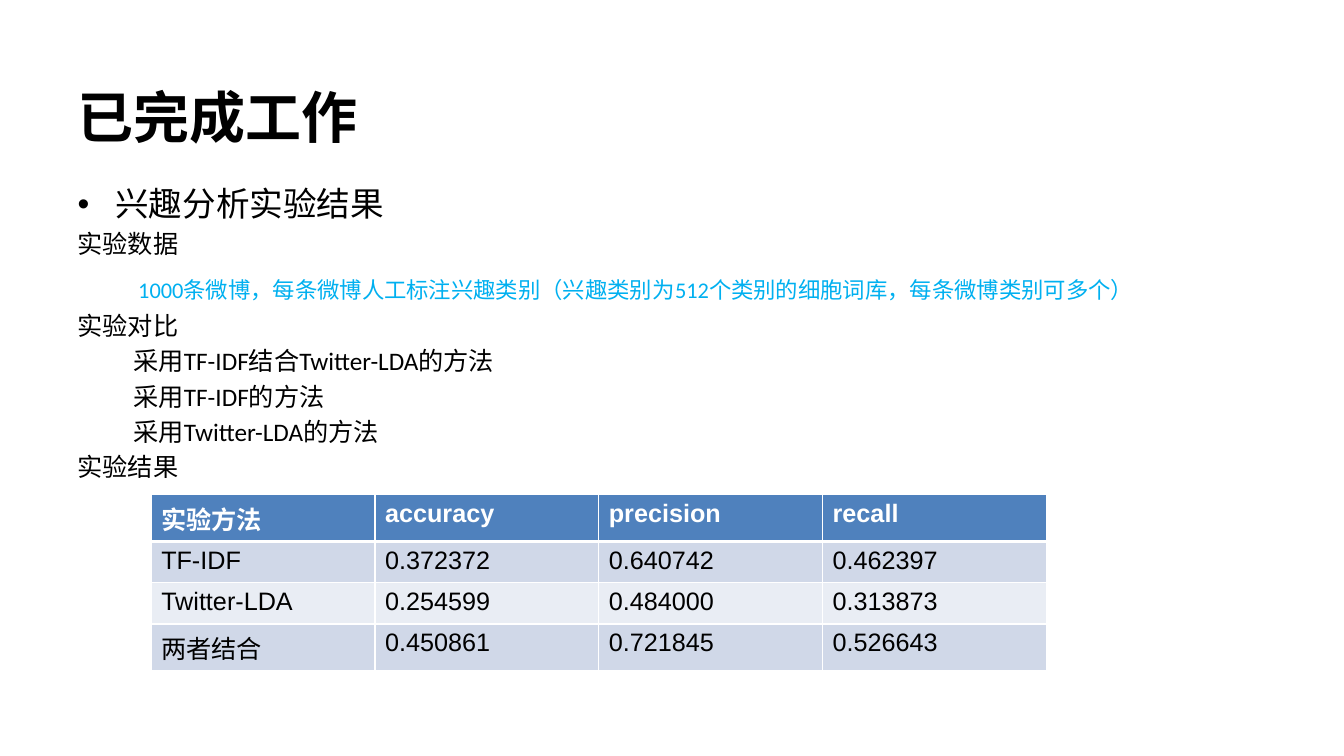
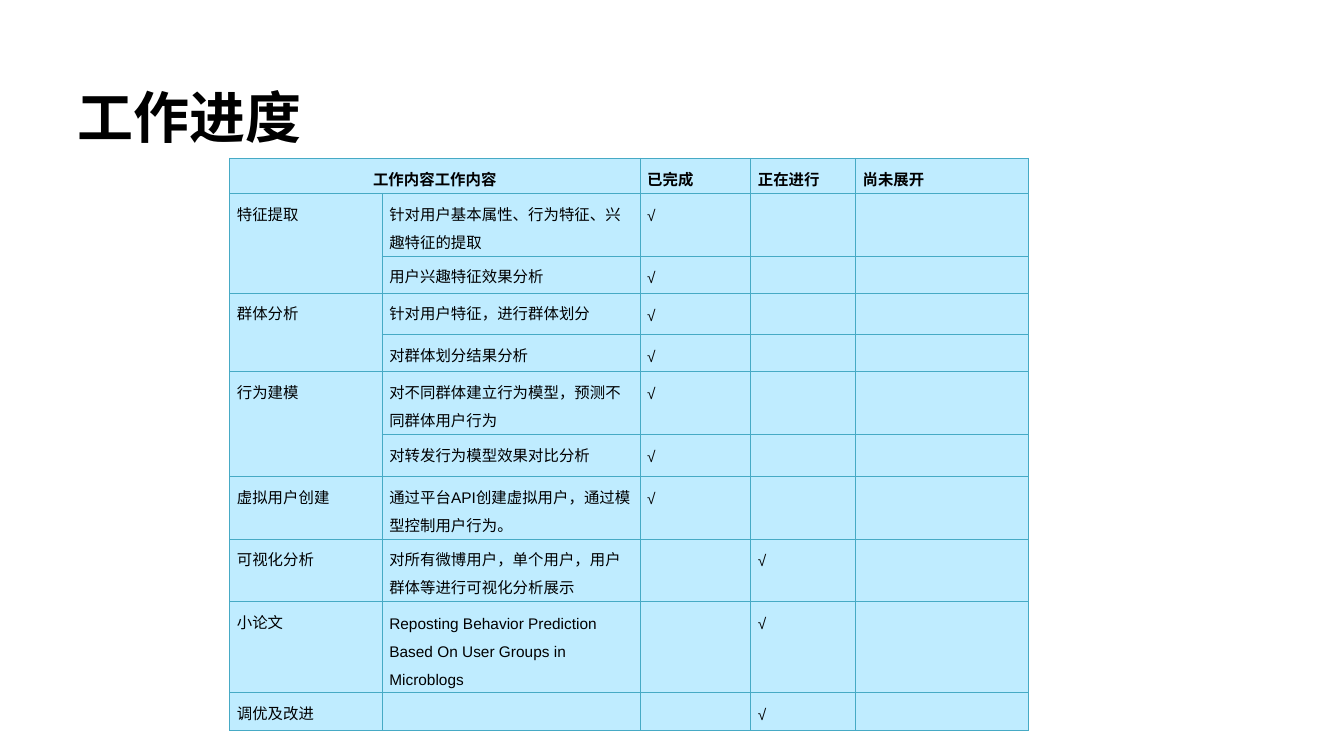
from lxml import etree
from pptx import Presentation
from pptx.dml.color import RGBColor
from pptx.enum.text import MSO_ANCHOR, MSO_AUTO_SIZE, PP_ALIGN
from pptx.oxml import parse_xml
from pptx.oxml.ns import qn
from pptx.util import Cm, Pt

LEFT, CENTER = PP_ALIGN.LEFT, PP_ALIGN.CENTER
MIDDLE = MSO_ANCHOR.MIDDLE
FIXED = MSO_AUTO_SIZE.NONE
NS = "http://schemas.openxmlformats.org/drawingml/2006/main"
CJK = "Noto Sans CJK SC"
COLORS = {
    "black": "000000",
    "white": "FFFFFF",
    "cyan": "00B0F0",
    "head": "4F81BD",
    "odd": "D0D8E8",
    "even": "E9EDF4",
    "pale": "BFECFF",
    "teal": "46AAC5",
}


def write(para, text, size, font="Arial", color="black", bold=False,
          align=LEFT, line=None, before=0, after=0, indent=None):
    """Fill a paragraph; an indent in cm also turns its bullet off."""
    if indent is not None:
        props = para._p.get_or_add_pPr()
        props.set("marL", str(Cm(indent)))
        props.set("indent", "0")
        etree.SubElement(props, qn("a:buNone"))
    para.alignment = align
    para.space_before, para.space_after = Pt(before), Pt(after)
    if line:
        para.line_spacing = Pt(line)
    if text:
        run = para.add_run()
        run.text = text
        run.font.size, run.font.bold = Pt(size), bold
        run.font.color.rgb = RGBColor.from_string(COLORS[color])
        run.font.name = font
        east = etree.SubElement(run._r.get_or_add_rPr(), qn("a:ea"))
        east.set("typeface", CJK)


def grid(slide, left, top, widths, heights, fills, edge, width, under):
    """Add a table with one fill per row; under is the line below row one."""
    frame = slide.shapes.add_table(
        len(heights), len(widths), Cm(left), Cm(top),
        Cm(sum(widths)), Cm(sum(heights)))
    table = frame.table
    for col, size in zip(table.columns, widths):
        col.width = Cm(size)
    for num, (row, size) in enumerate(zip(table.rows, heights)):
        row.height = Cm(size)
        for cell in row.cells:
            props = cell._tc.get_or_add_tcPr()
            for side in "LRTB":
                thick = (num, side) in ((0, "B"), (1, "T"))
                points = under if thick else width
                props.append(parse_xml(
                    f'<a:ln{side} xmlns:a="{NS}" w="{Pt(points)}"><a:solidFill>'
                    f'<a:srgbClr val="{COLORS[edge]}"/></a:solidFill></a:ln{side}>'))
            cell.fill.solid()
            cell.fill.fore_color.rgb = RGBColor.from_string(COLORS[fills[num]])
    return table


prs = Presentation()
prs.slide_width, prs.slide_height = Cm(33.87), Cm(19.05)

# Slides and titles
slides = []
for layout, text in ((1, "已完成工作"), (5, "工作进度")):
    slide = prs.slides.add_slide(prs.slide_layouts[layout])
    title = slide.shapes.title
    title.left, title.top, title.width, title.height = Cm(1.7), Cm(1.93), Cm(30.48), Cm(2)
    title.text_frame.auto_size = FIXED
    title.text_frame.vertical_anchor = MIDDLE
    write(title.text_frame.paragraphs[0], text, 40, font=CJK, bold=True)
    slides.append(slide)
done, plan = slides

# Finished work: list
body = done.placeholders[1]
body.left, body.top, body.width, body.height = Cm(1.7), Cm(4.45), Cm(30.48), Cm(13.49)
body.text_frame.auto_size = FIXED
LINES = [
    ("兴趣分析实验结果", {"size": 24, "line": 30}),
    ("实验数据", {"indent": 0}),
    ("1000条微博，每条微博人工标注兴趣类别（兴趣类别为512个类别的细胞词库，每条微博类别可多个）",
     {"size": 16, "color": "cyan", "indent": 1.53, "before": 6.4, "after": 1.6}),
    ("实验对比", {"indent": 0}),
    ("采用TF-IDF结合Twitter-LDA的方法", {"indent": 1.41}),
    ("采用TF-IDF的方法", {"indent": 1.41}),
    ("采用Twitter-LDA的方法", {"indent": 1.41}),
    ("实验结果", {"indent": 0}),
]
for num, (text, fmt) in enumerate(LINES):
    para = body.text_frame.add_paragraph() if num else body.text_frame.paragraphs[0]
    write(para, text, **{"size": 18, "font": "Calibri", "line": 25.2, **fmt})

# Finished work: results
SCORES = [
    ("实验方法", "accuracy", "precision", "recall"),
    ("TF-IDF", "0.372372", "0.640742", "0.462397"),
    ("Twitter-LDA", "0.254599", "0.484000", "0.313873"),
    ("两者结合", "0.450861", "0.721845", "0.526643"),
]
table = grid(done, 3.81, 12.47, [5.64] * 4, [1.16, 1.04, 1.04, 1.16],
             ["head", "odd", "even", "odd"], "white", 1, 3)
for row, texts in enumerate(SCORES):
    for col, text in enumerate(texts):
        write(table.cell(row, col).text_frame.paragraphs[0], text, 18,
              color="black" if row else "white", bold=row == 0)

# Progress: task, detail, column of the tick, row height
TASKS = [
    ("特征提取", "针对用户基本属性、行为特征、兴趣特征的提取", 2, 1.58),
    ("", "用户兴趣特征效果分析", 2, 0.88),
    ("群体分析", "针对用户特征，进行群体划分", 2, 1.05),
    ("", "对群体划分结果分析", 2, 0.88),
    ("行为建模", "对不同群体建立行为模型，预测不同群体用户行为", 2, 1.58),
    ("", "对转发行为模型效果对比分析", 2, 1.05),
    ("虚拟用户创建", "通过平台API创建虚拟用户，通过模型控制用户行为。", 2, 1.58),
    ("可视化分析", "对所有微博用户，单个用户，用户群体等进行可视化分析展示", 3, 1.58),
    ("小论文", "Reposting Behavior Prediction Based On User Groups in Microblogs", 3, 2.3),
    ("调优及改进", "", 3, 0.88),
]
rows = [("工作内容工作内容", "", "已完成", "正在进行", "尚未展开")]
for task, detail, tick, _ in TASKS:
    rows.append((task, detail, *("√" if col == tick else "" for col in (2, 3, 4))))
heights = [0.88] + [task[3] for task in TASKS]
table = grid(plan, 5.79, 3.99, [3.84, 6.5, 2.79, 2.64, 4.37], heights,
             ["pale"] * len(rows), "teal", 0.75, 0.75)
for row, texts in enumerate(rows):
    for col, text in enumerate(texts):
        cell = table.cell(row, col)
        cell.margin_left = cell.margin_right = Cm(0.18)
        cell.margin_top = cell.margin_bottom = Cm(0.08)
        write(cell.text_frame.paragraphs[0], text, 11, bold=row == 0, line=20,
              align=CENTER if row == col == 0 else LEFT)
    if not texts[0]:
        table.cell(row - 1, 0).merge(table.cell(row, 0))
table.cell(0, 0).merge(table.cell(0, 1))

prs.save("out.pptx")
